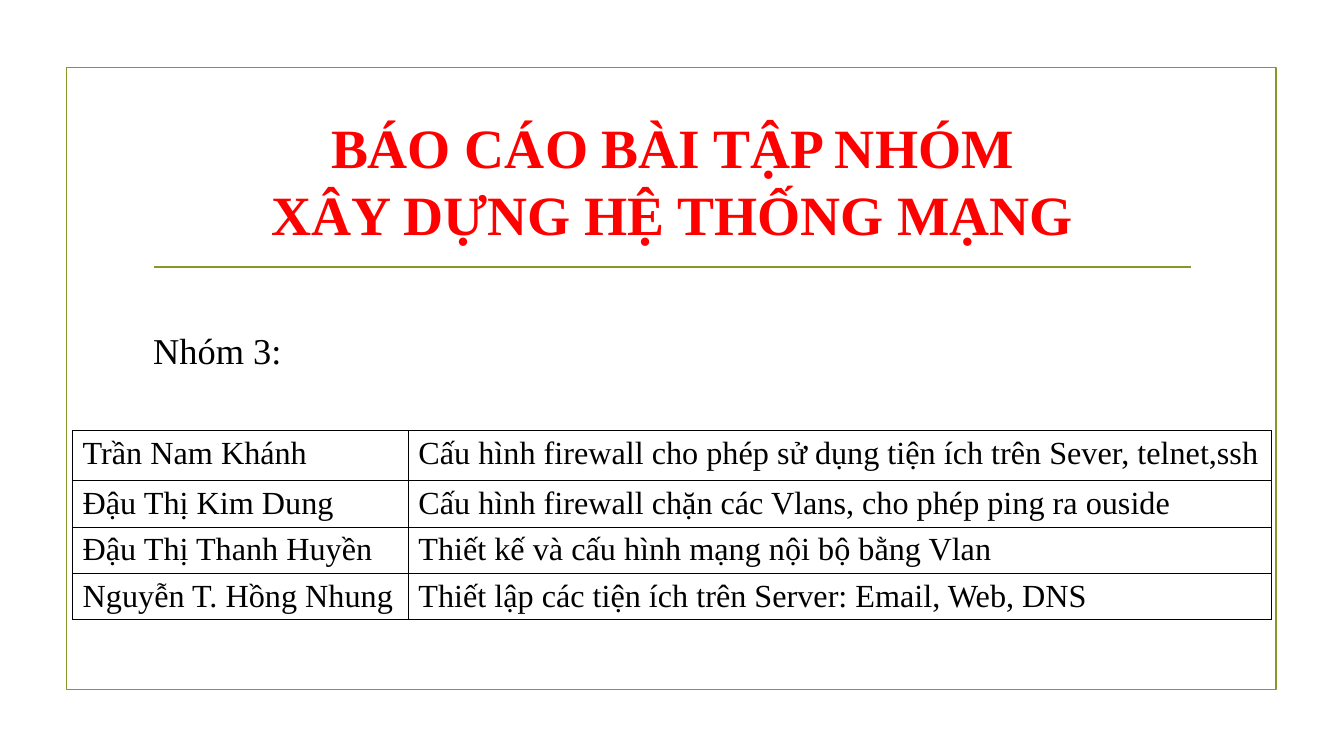
"""Build the group report title slide with its table of members and tasks."""
from lxml import etree
from pptx import Presentation
from pptx.dml.color import RGBColor
from pptx.enum import shapes, text
from pptx.oxml.ns import qn
from pptx.util import Inches, Pt

TITLE = "BÁO CÁO BÀI TẬP NHÓM\vXÂY DỰNG HỆ THỐNG MẠNG"
GROUP = "Nhóm 3:"
TASKS = [
    ("Trần Nam Khánh", "Cấu hình firewall cho phép sử dụng tiện ích trên Sever, telnet,ssh"),
    ("Đậu Thị Kim Dung", "Cấu hình firewall chặn các Vlans, cho phép ping ra ouside"),
    ("Đậu Thị Thanh Huyền", "Thiết kế và cấu hình mạng nội bộ bằng Vlan"),
    ("Nguyễn T. Hồng Nhung", "Thiết lập các tiện ích trên Server: Email, Web, DNS"),
]
COL_WIDTHS = (3.33, 8.56)
ROW_HEIGHTS = (0.5, 0.46, 0.46, 0.46)
COLORS = {"frame": "83992A", "title": "FF0000", "text": "000000"}
FONT = "Times New Roman"


def box(*lengths):
    return [Inches(n) for n in lengths]


def write(tf, content, size, color="text", bold=False, align=text.PP_ALIGN.LEFT):
    p = tf.paragraphs[0]
    p.text = content
    p.alignment = align
    for r in p.runs:
        r.font.name = FONT
        r.font.size = Pt(size)
        r.font.bold = bold
        r.font.color.rgb = RGBColor.from_string(COLORS[color])


def style_line(sp):
    sp.line.color.rgb = RGBColor.from_string(COLORS["frame"])
    sp.line.width = Pt(1.25)


def add_borders(cell):
    tc_pr = cell._tc.get_or_add_tcPr()
    for i, side in enumerate(("lnL", "lnR", "lnT", "lnB")):
        ln = etree.Element(qn(f"a:{side}"), w=str(Pt(1)))
        fill = etree.SubElement(ln, qn("a:solidFill"))
        etree.SubElement(fill, qn("a:srgbClr"), val=COLORS["text"])
        tc_pr.insert(i, ln)


def main():
    prs = Presentation()
    prs.slide_width, prs.slide_height = box(13.33, 7.5)
    s = prs.slides.add_slide(prs.slide_layouts[5])

    frame = s.shapes.add_shape(shapes.MSO_SHAPE.RECTANGLE, *box(0.66, 0.67, 12, 6.17))
    frame.shadow.inherit = False
    frame.fill.background()
    style_line(frame)

    rule = s.shapes.add_connector(shapes.MSO_CONNECTOR.STRAIGHT, *box(1.53, 2.65, 11.81, 2.65))
    etree.SubElement(rule._element.spPr, qn("a:effectLst"))
    style_line(rule)

    title = s.shapes.title
    title.left, title.top, title.width, title.height = box(1.42, 1.07, 10.5, 1.43)
    tf = title.text_frame
    tf.auto_size = text.MSO_AUTO_SIZE.NONE
    tf.vertical_anchor = text.MSO_ANCHOR.MIDDLE
    write(tf, TITLE, 39.6, "title", bold=True, align=text.PP_ALIGN.CENTER)

    size = box(sum(COL_WIDTHS), sum(ROW_HEIGHTS))
    table = s.shapes.add_table(len(TASKS), len(COL_WIDTHS), *box(0.72, 4.27), *size).table
    table.first_row = table.horz_banding = False
    for col, width in zip(table.columns, COL_WIDTHS):
        col.width = Inches(width)
    for row, height, task in zip(table.rows, ROW_HEIGHTS, TASKS):
        row.height = Inches(height)
        for cell, content in zip(row.cells, task):
            cell.margin_bottom = Inches(0.04)
            cell.fill.background()
            add_borders(cell)
            write(cell.text_frame, content, 23)

    group = s.shapes.add_textbox(*box(1.42, 3.21, 1.72, 0.54))
    tf = group.text_frame
    tf.word_wrap = True
    tf.auto_size = text.MSO_AUTO_SIZE.SHAPE_TO_FIT_TEXT
    write(tf, GROUP, 26)

    prs.save("out.pptx")


if __name__ == "__main__":
    main()
